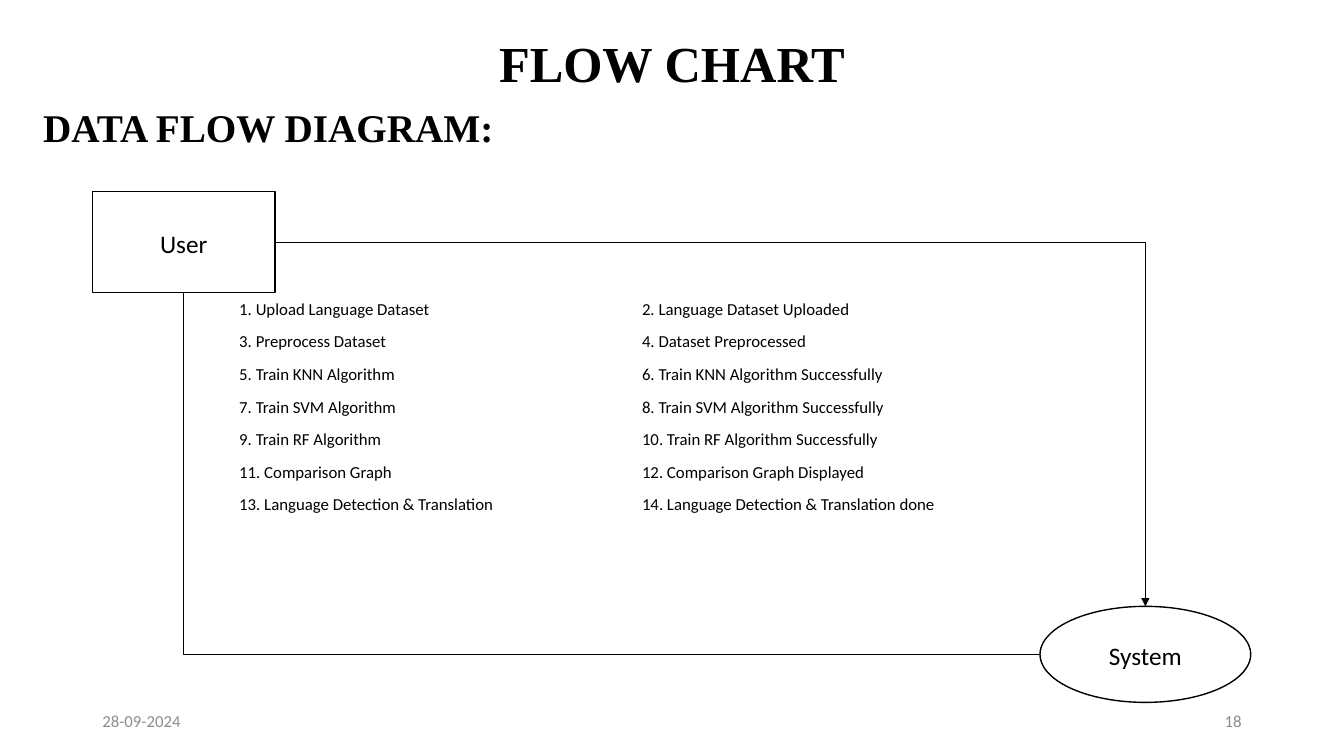
from lxml.etree import SubElement
from pptx import Presentation
from pptx.dml.color import RGBColor
from pptx.enum.shapes import MSO_CONNECTOR, MSO_SHAPE
from pptx.enum.text import MSO_ANCHOR, PP_ALIGN
from pptx.oxml.ns import qn
from pptx.util import Cm, Pt

TITLE = "FLOW CHART"
SUBTITLE = "DATA FLOW DIAGRAM:"
DATE = "28-09-2024"
PAGE = "18"
STEPS = [
    ("Upload Language Dataset", "Language Dataset Uploaded"),
    ("Preprocess Dataset", "Dataset Preprocessed"),
    ("Train KNN Algorithm", "Train KNN Algorithm Successfully"),
    ("Train SVM Algorithm", "Train SVM Algorithm Successfully"),
    ("Train RF Algorithm", "Train RF Algorithm Successfully"),
    ("Comparison Graph", "Comparison Graph Displayed"),
    ("Language Detection & Translation", "Language Detection & Translation done"),
]
USER = (2.33, 4.83, 4.6, 2.54)
SYSTEM = (26.21, 15.28, 5.31, 2.42)
RESPONSE_TAB = 10.15
COLORS = {"ink": "000000", "footer": "8C8C8C"}
HEADING_FONT, BODY_FONT = "Times New Roman", "Calibri"


def color(name):
    return RGBColor.from_string(COLORS[name])


def write(shape, lines, size, font=BODY_FONT, ink="ink", bold=False,
          align=PP_ALIGN.LEFT, anchor=MSO_ANCHOR.MIDDLE, spacing=1.0, after=0):
    frame = shape.text_frame
    frame.text = "\n".join(lines)
    frame.word_wrap = True
    frame.vertical_anchor = anchor
    for paragraph in frame.paragraphs:
        paragraph.alignment = align
        paragraph.line_spacing = spacing
        paragraph.space_after = Pt(after)
        for run in paragraph.runs:
            run.font.size = Pt(size)
            run.font.name = font
            run.font.bold = bold
            run.font.color.rgb = color(ink)


def add_text(slide, box, lines, size, **style):
    shape = slide.shapes.add_textbox(*map(Cm, box))
    write(shape, lines, size, **style)
    return shape


def add_node(slide, kind, box, label):
    shape = slide.shapes.add_shape(kind, *map(Cm, box))
    shape.shadow.inherit = False
    shape.fill.background()
    shape.line.color.rgb = color("ink")
    shape.line.width = Pt(1)
    write(shape, [label], 18, align=PP_ALIGN.CENTER, spacing=1.06, after=8)


def add_corner(slide, start, end, arrow=False):
    connector = slide.shapes.add_connector(MSO_CONNECTOR.ELBOW, *map(Cm, start + end))
    connector.line.color.rgb = color("ink")
    connector.line.width = Pt(0.5)
    properties = connector._element.spPr
    properties.find(qn("a:prstGeom")).set("prst", "bentConnector2")
    if arrow:
        SubElement(connector.line._get_or_add_ln(), qn("a:tailEnd"), type="triangle")
    SubElement(properties, qn("a:effectLst"))


def main():
    presentation = Presentation()
    presentation.slide_width, presentation.slide_height = Cm(33.87), Cm(19.05)
    slide = presentation.slides.add_slide(presentation.slide_layouts[5])

    title = slide.shapes.title
    title.left, title.top, title.width, title.height = map(Cm, (0, 0, 33.87, 3.35))
    write(title, [TITLE], 36, font=HEADING_FONT, bold=True,
          align=PP_ALIGN.CENTER, spacing=0.9)
    add_text(slide, (0.84, 2.62, 33.22, 13.82), [SUBTITLE], 28, font=HEADING_FONT,
             bold=True, anchor=MSO_ANCHOR.TOP, spacing=0.9)
    add_text(slide, (2.33, 17.66, 7.62, 1.01), [DATE], 12, ink="footer")
    add_text(slide, (23.92, 17.66, 7.62, 1.01), [PAGE], 12, ink="footer",
             align=PP_ALIGN.RIGHT)

    add_node(slide, MSO_SHAPE.RECTANGLE, USER, "User")
    add_node(slide, MSO_SHAPE.OVAL, SYSTEM, "System")
    user_left, user_top, user_width, user_height = USER
    system_left, system_top, system_width, system_height = SYSTEM
    add_corner(slide, (user_left + user_width, user_top + user_height / 2),
               (system_left + system_width / 2, system_top), arrow=True)
    add_corner(slide, (system_left, system_top + system_height / 2),
               (user_left + user_width / 2, user_top + user_height))

    lines = [f"{2 * row + 1}. {request}\t{2 * row + 2}. {response}"
             for row, (request, response) in enumerate(STEPS)]
    steps = add_text(slide, (5.78, 7.37, 24.26, 8.97), lines, 12,
                     anchor=MSO_ANCHOR.TOP, spacing=1.06, after=8)
    for paragraph in steps.text_frame.paragraphs:
        tabs = SubElement(paragraph._p.get_or_add_pPr(), qn("a:tabLst"))
        SubElement(tabs, qn("a:tab"), pos=str(Cm(RESPONSE_TAB)), algn="l")

    presentation.save("out.pptx")


if __name__ == "__main__":
    main()
